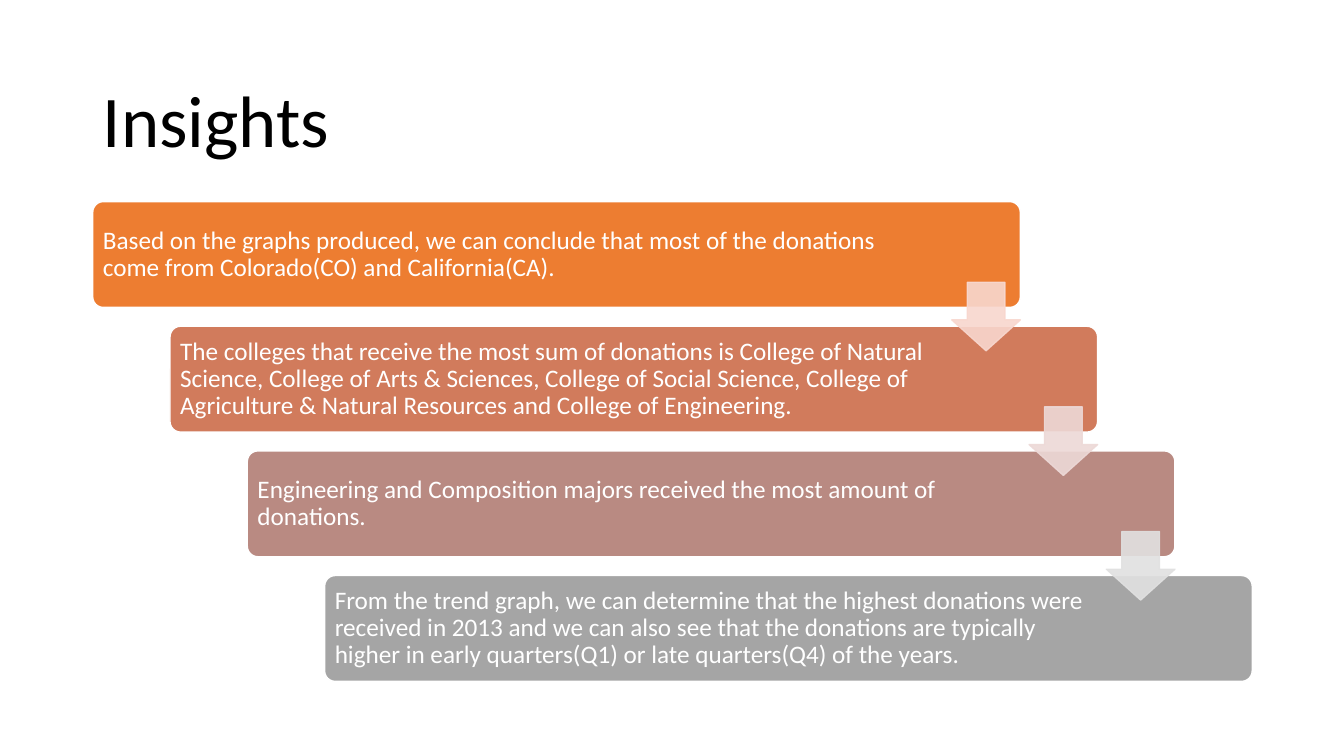
"""Build the Insights slide: four stepped boxes joined by down arrows."""
from dataclasses import dataclass

from lxml import etree
from pptx import Presentation
from pptx import util as u
from pptx.dml.color import RGBColor
from pptx.enum import shapes, text
from pptx.oxml.ns import qn


@dataclass(frozen=True)
class Theme:
    font: str = "Calibri"
    title_size: int = 52
    body_size: int = 18
    title_color: str = "000000"
    body_color: str = "FFFFFF"
    outline: str = "FFFFFF"
    boxes: tuple = ("ED7D31", "D17B5C", "B98A82", "A5A5A5")
    arrows: tuple = ("F8D7CE", "EDD9D7", "E1E1E1")
    arrow_opacity: int = 90


theme = Theme()


def add_filled(page, preset, frame, adjustments, fill, outline):
    shape = page.shapes.add_shape(preset, *(u.Inches(length) for length in frame))
    for index, value in enumerate(adjustments):
        shape.adjustments[index] = value
    shape.shadow.inherit = False
    shape.fill.solid()
    shape.fill.fore_color.rgb = RGBColor.from_string(fill)
    shape.line.color.rgb = RGBColor.from_string(outline)
    shape.line.width = u.Pt(1)
    return shape


def style_text(frame, size, color):
    frame.word_wrap = True
    frame.auto_size = text.MSO_AUTO_SIZE.NONE
    frame.vertical_anchor = text.MSO_ANCHOR.MIDDLE
    para = frame.paragraphs[0]
    para.alignment = text.PP_ALIGN.LEFT
    para.line_spacing = 0.9
    para.font.name = theme.font
    para.font.size = u.Pt(size)
    para.font.color.rgb = RGBColor.from_string(color)


deck = Presentation()
deck.slide_width, deck.slide_height = u.Inches(13.33), u.Inches(7.5)
page = deck.slides.add_slide(deck.slide_layouts[5])

left, top = 0.92, 2
box_width, box_height = 9.2, 1.05
step_x, step_y = 2.3 / 3, 3.71 / 3
arrow_size = 0.68
inset = 0.07

title = page.shapes.title
title.left, title.top = u.Inches(left), u.Inches(0.61)
title.width, title.height = u.Inches(11.5), u.Inches(1.24)
title.text_frame.text = "Insights"
style_text(title.text_frame, theme.title_size, theme.title_color)

insights = [
    ("Based on the graphs produced, we can conclude that most of the donations "
     "come from Colorado(CO) and California(CA).", 1.23),
    ("The colleges that receive the most sum of donations is College of Natural Science, "
     "College of Arts & Sciences, College of Social Science, College of Agriculture & "
     "Natural Resources and College of Engineering.", 1.52),
    ("Engineering and Composition majors received the most amount of donations.", 1.52),
    ("From the trend graph, we can determine that the highest donations were received in "
     "2013 and we can also see that the donations are typically higher in early "
     "quarters(Q1) or late quarters(Q4) of the years.", 1.52),
]

for row, ((insight, right_inset), color) in enumerate(zip(insights, theme.boxes)):
    frame = (left + row * step_x, top + row * step_y, box_width, box_height)
    box = add_filled(page, shapes.MSO_SHAPE.ROUNDED_RECTANGLE, frame, [0.1],
                     color, theme.outline)
    body = box.text_frame
    body.text = insight
    body.margin_left = body.margin_top = body.margin_bottom = u.Inches(inset)
    body.margin_right = u.Inches(right_inset)
    style_text(body, theme.body_size, theme.body_color)

for row, color in enumerate(theme.arrows):
    frame = (left + row * step_x + box_width - arrow_size, top + row * step_y + 0.8,
             arrow_size, arrow_size)
    arrow = add_filled(page, shapes.MSO_SHAPE.DOWN_ARROW, frame, [0.55, 0.45], color, color)
    for paint in arrow.element.spPr.iter(qn("a:srgbClr")):
        etree.SubElement(paint, qn("a:alpha")).set("val", str(theme.arrow_opacity * 1000))

deck.save("out.pptx")
